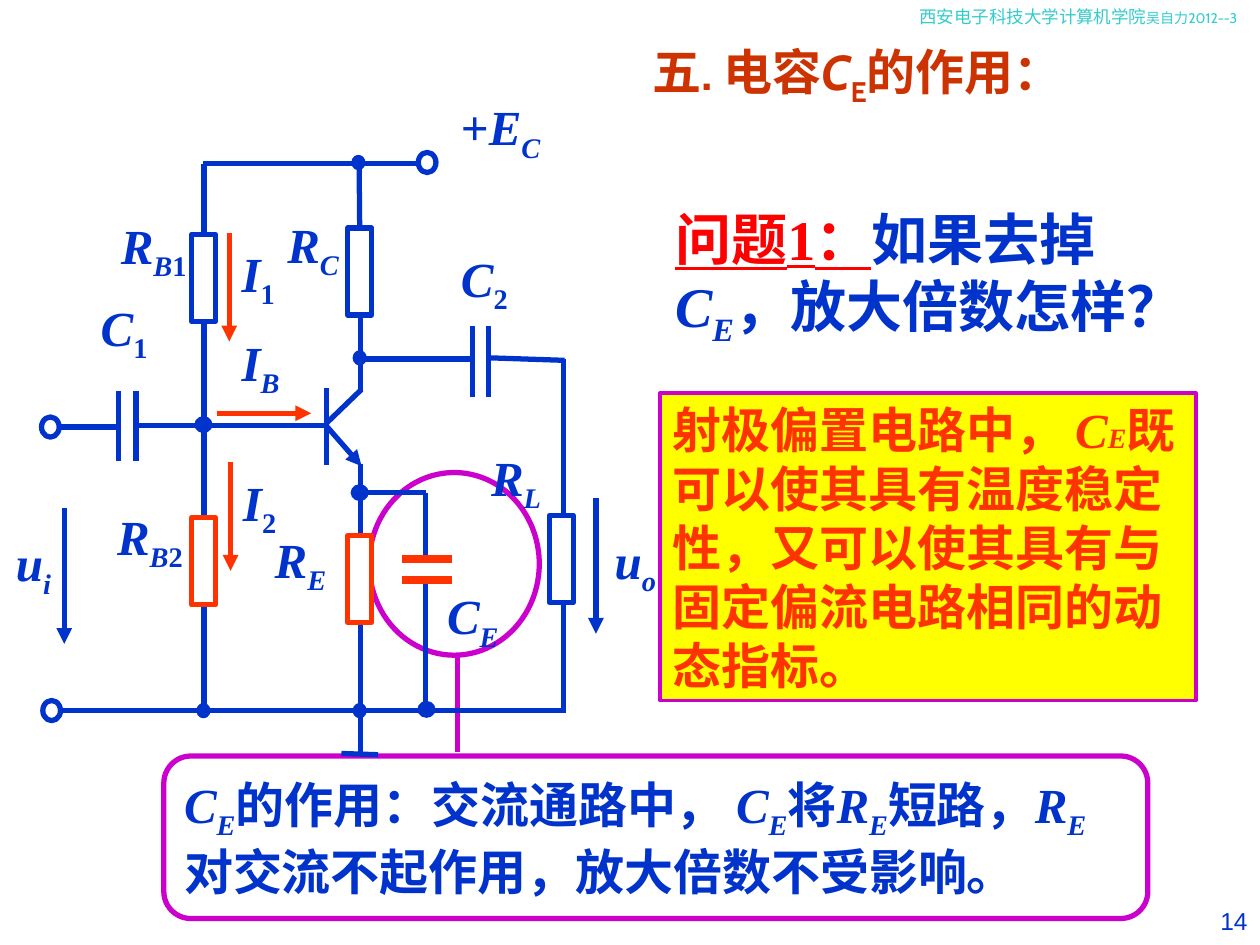
from dataclasses import dataclass
from typing import Optional

from lxml import etree
from pptx import Presentation
from pptx.dml.color import RGBColor
from pptx.enum.shapes import MSO_CONNECTOR, MSO_SHAPE
from pptx.enum.text import MSO_ANCHOR, PP_ALIGN
from pptx.oxml.ns import qn
from pptx.util import Inches, Pt

STRAIGHT = MSO_CONNECTOR.STRAIGHT
RECTANGLE, ROUNDED, OVAL = MSO_SHAPE.RECTANGLE, MSO_SHAPE.ROUNDED_RECTANGLE, MSO_SHAPE.OVAL
TOP, MIDDLE = MSO_ANCHOR.TOP, MSO_ANCHOR.MIDDLE
LEFT, CENTER, RIGHT = PP_ALIGN.LEFT, PP_ALIGN.CENTER, PP_ALIGN.RIGHT
BLUE, ORANGE, PURPLE = "0033CC", "FF3300", "CC00CC"
WHITE, YELLOW, RED, BROWN, TEAL = "FFFFFF", "FFFF00", "FF0000", "CC3300", "33CCCC"
SERIF, SANS = "Times New Roman", "Cabin"
LABEL_HEIGHT = 0.63
RESISTOR_WIDTH, RESISTOR_HEIGHT = 0.19, 0.69


@dataclass
class Span:
    """A stretch of evenly formatted text."""
    text: str
    italic: bool = False
    lowered: bool = False
    color: str = BLUE
    size: float = 28
    font: str = SERIF
    bold: bool = True
    underline: bool = False


@dataclass
class Label:
    """A circuit symbol with its subscript."""
    left: float
    top: float
    width: float
    symbol: str
    letters: str = ""
    digits: str = ""
    prefix: str = ""
    align: int = LEFT
    wrap: bool = True


@dataclass
class Line:
    """A straight line between two points."""
    x1: float
    y1: float
    x2: float
    y2: float
    color: str = BLUE
    weight: float = 3
    arrow: bool = False


@dataclass
class Oval:
    """A terminal, junction or highlight ring."""
    left: float
    top: float
    width: float
    height: float
    fill: Optional[str] = None
    line: str = BLUE
    weight: float = 3


def rgb(value: str) -> RGBColor:
    """Turn a hex string into a colour."""
    return RGBColor.from_string(value)


def write(shape, spans: list[Span], anchor=MIDDLE, align=LEFT, wrap=True) -> None:
    """Fill a shape with one paragraph of spans."""
    frame = shape.text_frame
    frame.word_wrap = wrap
    frame.vertical_anchor = anchor
    para = frame.paragraphs[0]
    para.alignment = align
    for span in spans:
        run = para.add_run()
        run.text = span.text
        run.font.name = span.font
        run.font.size = Pt(span.size)
        run.font.bold = span.bold
        run.font.italic = span.italic
        run.font.underline = span.underline
        run.font.color.rgb = rgb(span.color)
        if span.lowered:
            run.font._element.set("baseline", "-25000")


def add_text(page, left, top, width, height, spans, **layout) -> None:
    """Place a text box."""
    box = page.shapes.add_textbox(Inches(left), Inches(top), Inches(width), Inches(height))
    write(box, spans, **layout)


def add_shape(page, kind, left, top, width, height, line, fill=None, weight=3.0):
    """Place an outlined shape, filled or open."""
    shape = page.shapes.add_shape(kind, Inches(left), Inches(top), Inches(width), Inches(height))
    shape.shadow.inherit = False
    if fill:
        shape.fill.solid()
        shape.fill.fore_color.rgb = rgb(fill)
    else:
        shape.fill.background()
    shape.line.color.rgb = rgb(line)
    shape.line.width = Pt(weight)
    return shape


def add_line(page, line: Line):
    """Draw a line, with an arrowhead at its end if asked."""
    connector = page.shapes.add_connector(
        STRAIGHT, Inches(line.x1), Inches(line.y1), Inches(line.x2), Inches(line.y2))
    connector.line.color.rgb = rgb(line.color)
    connector.line.width = Pt(line.weight)
    if line.arrow:
        etree.SubElement(connector.line._get_or_add_ln(), qn("a:tailEnd"), type="triangle")
    etree.SubElement(connector._element.spPr, qn("a:effectLst"))
    return connector


def add_oval(page, oval: Oval) -> None:
    """Draw an oval."""
    add_shape(page, OVAL, oval.left, oval.top, oval.width, oval.height,
              oval.line, oval.fill, oval.weight)


def add_resistor(page, left: float, top: float, color: str = BLUE):
    """Draw a resistor body over its wire."""
    return add_shape(page, RECTANGLE, left, top, RESISTOR_WIDTH, RESISTOR_HEIGHT, color, WHITE)


def add_label(page, label: Label) -> None:
    """Write a circuit symbol."""
    spans = [Span(label.prefix), Span(label.symbol, italic=True),
             Span(label.letters, italic=True, lowered=True), Span(label.digits, lowered=True)]
    add_text(page, label.left, label.top, label.width, LABEL_HEIGHT,
             [span for span in spans if span.text], align=label.align, wrap=label.wrap)


def symbol(name: str) -> list[Span]:
    """Give the spans of a symbol with subscript E."""
    return [Span(name, italic=True), Span("E", italic=True, lowered=True)]


WIRES = [
    Line(1.62, 5.66, 1.62, 1.3), Line(1.61, 1.3, 2.84, 1.3), Line(2.84, 1.3, 3.31, 1.3),
    Line(2.86, 2.57, 2.86, 2.12), Line(2.86, 2.12, 2.86, 3.11), Line(1.08, 3.38, 2.61, 3.38),
    Line(2.59, 3.08, 2.59, 3.69), Line(2.59, 3.38, 2.87, 3.7, arrow=True),
    Line(2.59, 3.36, 2.87, 3.09), Line(2.86, 3.68, 2.86, 4.8), Line(2.86, 4.57, 2.86, 5.66),
    Line(0.48, 5.64, 1.28, 5.64), Line(1.26, 5.64, 3.85, 5.64), Line(2.76, 5.64, 4.47, 5.64),
    Line(0.48, 3.39, 0.93, 3.39), Line(4.48, 2.86, 3.88, 2.84), Line(2.85, 2.85, 3.75, 2.85),
    Line(2.86, 5.66, 2.86, 6), Line(2.71, 5.98, 3, 5.99), Line(4.47, 2.85, 4.47, 5.66),
    Line(2.86, 3.91, 3.38, 3.91), Line(3.38, 3.91, 3.38, 4.44), Line(3.38, 4.62, 3.38, 5.65),
]
PLATES = [Line(x, y, x, y + 0.56) for x, y in [(0.94, 3.1), (1.08, 3.1), (3.75, 2.59), (3.88, 2.59)]]
BYPASS_PLATES = [Line(3.19, y, 3.59, y, ORANGE, 4.5) for y in (4.44, 4.6)]
CURRENTS = [Line(*ends, ORANGE, arrow=True) for ends in
            [(1.82, 1.85, 1.82, 2.71), (1.83, 3.67, 1.83, 4.53), (1.72, 3.28, 2.47, 3.28)]]
VOLTAGES = [Line(x, y, x, y + 1.08, arrow=True) for x, y in [(4.73, 3.95), (0.51, 4.03)]]
TERMINALS = [Oval(x, y, 0.14, 0.16) for x, y in [(3.32, 1.21), (0.33, 3.31), (0.34, 5.56)]]
JUNCTIONS = [Oval(x, y, 0.07, 0.08, BLUE) for x, y in
             [(2.82, 5.6), (2.82, 2.8), (1.58, 5.6), (2.81, 1.25)]]
NODES = [Oval(x, y, 0.13, 0.12, BLUE, weight=1) for x, y in [(2.79, 3.85), (3.32, 5.57), (1.55, 3.31)]]
RESISTORS = [(1.52, 1.86, BLUE), (1.52, 4.11, ORANGE), (2.76, 4.25, ORANGE), (4.36, 4.09, BLUE)]
LABELS = [
    Label(1.82, 1.88, 0.74, "I", digits="1"),
    Label(1.83, 3.7, 0.69, "I", digits="2"),
    Label(1.82, 2.59, 0.77, "I", "B"),
    Label(3.56, 0.72, 0.83, "E", "C", prefix="+", wrap=False),
    Label(0.86, 1.66, 0.72, "R", "B", "1", align=CENTER, wrap=False),
    Label(0.83, 3.97, 0.72, "R", "B", "2", align=CENTER, wrap=False),
    Label(2.18, 1.65, 0.61, "R", "C", align=CENTER, wrap=False),
    Label(2.08, 4.15, 0.61, "R", "E", align=CENTER, wrap=False),
    Label(3.75, 3.5, 0.69, "R", "L", align=CENTER, wrap=False),
    Label(0.7, 2.31, 0.57, "C", digits="1", align=CENTER, wrap=False),
    Label(3.56, 1.92, 0.57, "C", digits="2", align=CENTER, wrap=False),
    Label(3.45, 4.6, 0.76, "C", "E"),
    Label(0, 4.18, 0.53, "u", "i", align=CENTER),
    Label(4.78, 4.16, 1.02, "u", "o"),
]


def draw_circuit(page) -> None:
    """Draw the amplifier with its labels."""
    for line in CURRENTS + WIRES + PLATES + BYPASS_PLATES + VOLTAGES:
        add_line(page, line)
    for resistor in RESISTORS:
        add_resistor(page, *resistor)
    collector_resistor = add_resistor(page, 2.76, 1.81)
    supply_lead = add_line(page, Line(2.85, 1.81, 2.85, 1.29))
    supply_lead.begin_connect(collector_resistor, 0)
    for oval in TERMINALS + JUNCTIONS + NODES:
        add_oval(page, oval)
    for label in LABELS:
        add_label(page, label)


def draw_texts(page) -> None:
    """Write the header, title, question, answer and page number."""
    header = {"color": TEAL, "font": SANS, "bold": False}
    add_text(page, 7.2, 0, 2.8, 0.27, [Span("西安电子科技大学计算机学院", size=10, **header),
                                       Span("吴自力2012--3", size=8, **header)], anchor=TOP)
    title = {"color": BROWN, "font": SANS}
    add_text(page, 5.08, 0.28, 3.3, 0.63, [
        Span("五. 电容", **title), Span("C", italic=True, **title),
        Span("E", lowered=True, **title), Span("的作用：", **title)], anchor=TOP)
    add_text(page, 5.26, 1.57, 3.8, 1.24, [
        Span("问题1：", color=RED, size=32, underline=True), Span("如果去掉", size=32),
        Span("C", italic=True, size=32), Span("E", italic=True, lowered=True, size=32),
        Span("，放大倍数怎样？", size=32)])
    answer = add_shape(page, RECTANGLE, 5.24, 3.12, 4.25, 2.44, PURPLE, YELLOW, 2.25)
    write(answer, [
        Span("射极偏置电路中， ", color=ORANGE), Span("C", italic=True, color=ORANGE),
        Span("E", italic=True, color=ORANGE, size=16),
        Span("既可以使其具有温度稳定性，又可以使其具有与固定偏流电路相同的动态指标。", color=ORANGE)])
    add_text(page, 9.17, 7.14, 0.83, 0.36, [Span("14", size=14, font="Arial", bold=False)],
             anchor=TOP, align=RIGHT)


def draw_callout(page) -> None:
    """Ring the bypass capacitor and explain it below."""
    add_oval(page, Oval(2.93, 3.75, 1.35, 1.45, line=PURPLE))
    add_line(page, Line(3.63, 5.18, 3.63, 5.97, PURPLE))
    note = add_shape(page, ROUNDED, 1.3, 6, 7.81, 1.29, PURPLE)
    write(note, [*symbol("C"), Span("的作用：交流通路中， "), *symbol("C"), Span("将"), *symbol("R"),
                 Span("短路，"), *symbol("R"), Span("对交流不起作用，放大倍数不受影响。")])


def main() -> None:
    """Build and save the deck."""
    deck = Presentation()
    deck.slide_width, deck.slide_height = Inches(10), Inches(7.5)
    page = deck.slides.add_slide(deck.slide_layouts[6])
    draw_callout(page)
    draw_circuit(page)
    draw_texts(page)
    deck.save("out.pptx")


if __name__ == "__main__":
    main()
